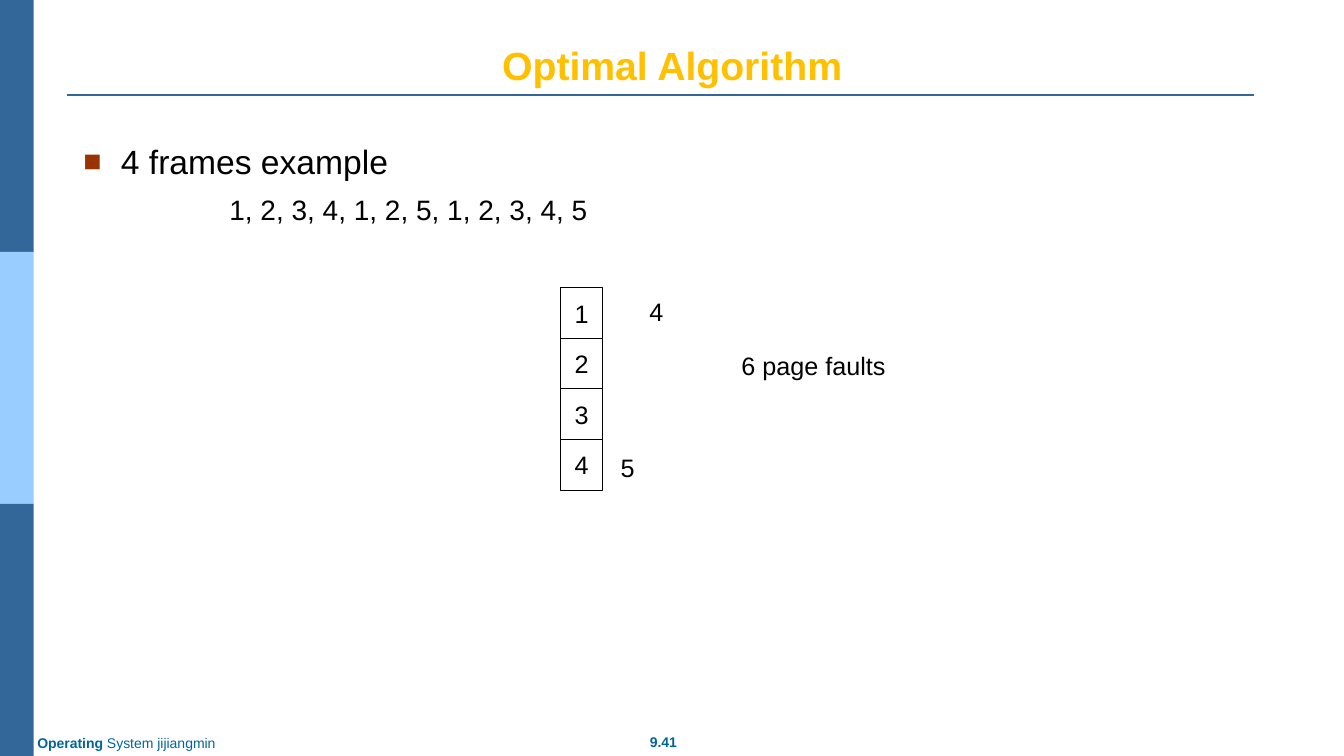
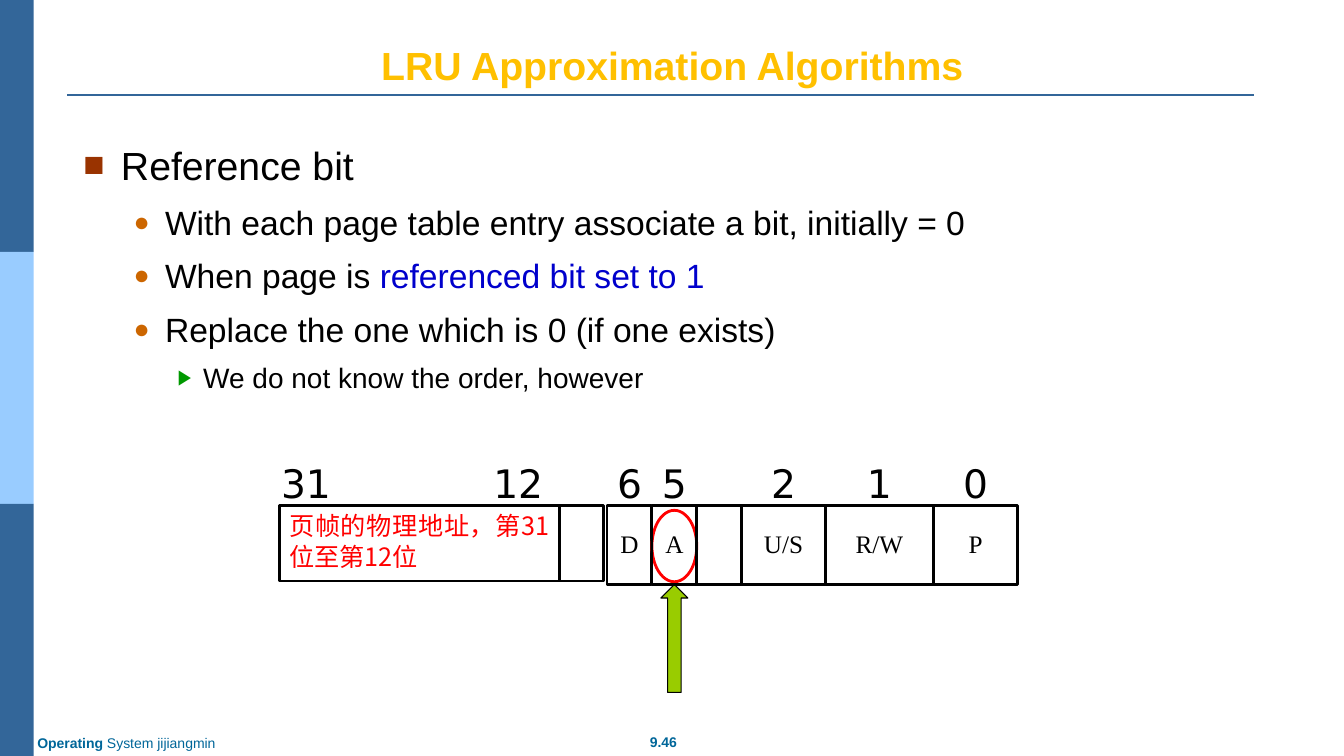
from dataclasses import dataclass

from lxml.etree import SubElement
from pptx import Presentation
from pptx.dml.color import RGBColor
from pptx.enum.shapes import MSO_CONNECTOR as Connector, MSO_SHAPE as Preset
from pptx.enum.text import MSO_ANCHOR as Anchor, MSO_AUTO_SIZE as AutoSize, PP_ALIGN as Align
from pptx.oxml.ns import qn
from pptx.util import Cm, Pt


@dataclass(frozen=True)
class Theme:
    band: str = "336699"
    band_light: str = "99CCFF"
    footer: str = "006699"
    title: str = "FFC000"
    text: str = "000000"
    paper: str = "FFFFFF"
    emphasis: str = "0000CC"
    alert: str = "FF0000"
    arrow: str = "99CC00"
    sans: str = "Arial"
    serif: str = "Times New Roman"
    digits: str = "DejaVu Sans"
    chinese: str = "Noto Sans CJK SC"
    title_size: int = 28
    head_size: int = 28
    body_size: int = 24
    small_size: int = 20
    label_size: int = 18
    footer_size: int = 10


@dataclass(frozen=True)
class Span:
    text: str
    color: str = Theme.text
    bold: bool = False


@dataclass(frozen=True)
class Level:
    margin: float
    hanging: float = 0
    bullet: str = ""
    color: str = ""
    percent: int = 100


@dataclass(frozen=True)
class Box:
    left: float
    top: float
    width: float
    height: float

    @property
    def center(self):
        return self.left + self.width / 2

    @property
    def bottom(self):
        return self.top + self.height

    def lengths(self):
        return [Cm(value) for value in (self.left, self.top, self.width, self.height)]


THEME = Theme()
HEAD = Level(0.95, 0.95, "■", "993300", 90)
POINT = Level(2.06, 0.79, "●", "CC6600", 80)
DETAIL = Level(3.02, 0.64, "▶", "009900", 75)
SEQUENCE = Level(3.68)
BODY_BOX = Box(1.85, 3.43, 30.48, 12.57)


def add_spans(para, spans, size, font):
    for span in spans:
        run = para.add_run()
        run.text = span.text
        run.font.name = font
        run.font.size = Pt(size)
        run.font.bold = span.bold
        run.font.color.rgb = RGBColor.from_string(span.color)


def fill_frame(frame, spans, size, font=THEME.sans, align=Align.CENTER, anchor=Anchor.MIDDLE):
    frame.word_wrap = True
    frame.auto_size = AutoSize.NONE
    frame.vertical_anchor = anchor
    para = frame.paragraphs[0]
    para.alignment = align
    add_spans(para, spans, size, font)
    return para


def add_label(page, box, spans, size, **style):
    label = page.shapes.add_textbox(*box.lengths())
    fill_frame(label.text_frame, spans, size, **style)
    return label


def add_figure(page, preset, box, fill=None, line=None, weight=0.75):
    figure = page.shapes.add_shape(preset, *box.lengths())
    figure.shadow.inherit = False
    if fill:
        figure.fill.solid()
        figure.fill.fore_color.rgb = RGBColor.from_string(fill)
    else:
        figure.fill.background()
    if line:
        figure.line.color.rgb = RGBColor.from_string(line)
        figure.line.width = Pt(weight)
    else:
        figure.line.fill.background()
    return figure


def add_rule(page, left, right, top):
    rule = page.shapes.add_connector(Connector.STRAIGHT, Cm(left), Cm(top), Cm(right), Cm(top))
    rule.line.color.rgb = RGBColor.from_string(THEME.band)
    rule.line.width = Pt(1.5)
    SubElement(rule.element.spPr, qn("a:effectLst"))
    return rule


def decorate_layout(layout, page, height):
    for holder in list(layout.placeholders)[1:]:
        layout.shapes.element.remove(holder.element)
    step = height / 3
    colors = (THEME.band, THEME.band_light, THEME.band)
    parts = [add_figure(page, Preset.RECTANGLE, Box(0, row * step, 0.85, step), color)
             for row, color in enumerate(colors)]
    parts.append(add_rule(page, 1.7, 31.6, 2.39))
    credit = [Span("Operating ", THEME.footer, True), Span("System jijiangmin", THEME.footer)]
    parts.append(add_label(page, Box(0.69, 18.39, 6, 0.69), credit, THEME.footer_size,
                           align=Align.LEFT, anchor=Anchor.TOP))
    for part in parts:
        layout.shapes.element.append(part.element)


def add_heading(page, title, number):
    holder = page.shapes.title
    holder.left, holder.top, holder.width, holder.height = Box(1.7, 0.76, 30.48, 1.6).lengths()
    fill_frame(holder.text_frame, [Span(title, THEME.title, True)], THEME.title_size,
               anchor=Anchor.BOTTOM)
    add_label(page, Box(15.72, 18.36, 2, 0.69), [Span(number, THEME.footer, True)],
              THEME.footer_size, anchor=Anchor.TOP)


def set_level(para, level):
    props = para._p.get_or_add_pPr()
    props.set("marL", str(Cm(level.margin)))
    props.set("indent", str(-Cm(level.hanging)))
    if level.bullet:
        SubElement(SubElement(props, qn("a:buClr")), qn("a:srgbClr"), val=level.color)
        SubElement(props, qn("a:buSzPct"), val=str(level.percent * 1000))
        SubElement(props, qn("a:buFont"), typeface=THEME.sans)
        SubElement(props, qn("a:buChar"), char=level.bullet)


def add_body(page, box, items):
    frame = page.shapes.add_textbox(*box.lengths()).text_frame
    frame.word_wrap = True
    for index, (level, size, spans) in enumerate(items):
        para = frame.add_paragraph() if index else frame.paragraphs[0]
        set_level(para, level)
        para.space_before = Pt(0.4 * size if index else 0)
        add_spans(para, spans, size, THEME.sans)


def add_frame_stack(page, box, labels):
    step = box.height / len(labels)
    for row, label in enumerate(labels):
        cell = add_figure(page, Preset.RECTANGLE,
                          Box(box.left, box.top + row * step, box.width, step),
                          THEME.paper, THEME.text)
        fill_frame(cell.text_frame, [Span(label)], THEME.label_size)
    notes = (
        ("4", Box(box.left + 1.92, box.top + 0.09, 1, 1.02)),
        ("5", Box(box.left + 1.2, box.top + 4.03, 1, 1.02)),
        ("6 page faults", Box(box.left + 4.13, box.top + 1.44, 4.5, 1.02)),
    )
    for note, place in notes:
        add_label(page, place, [Span(note)], THEME.label_size)


def add_bit_number(page, center, top, number):
    add_label(page, Box(center - 0.95, top - 1.28, 1.9, 1.55), [Span(number)],
              THEME.head_size, font=THEME.digits, anchor=Anchor.TOP)


def add_address_field(page, box):
    field = add_figure(page, Preset.RECTANGLE, box, line=THEME.text, weight=2)
    para = fill_frame(field.text_frame, [Span("页帧的物理地址，第31位至第12位", THEME.alert)],
                      THEME.label_size, font=THEME.chinese,
                      align=Align.JUSTIFY, anchor=Anchor.TOP)
    para.line_spacing = Pt(22)
    for run in para.runs:
        SubElement(run.font._element, qn("a:ea"), typeface=THEME.chinese)
    add_bit_number(page, box.left + 0.67, box.top, "31")
    add_bit_number(page, box.left + box.width - 1.04, box.top, "12")


def add_flag_cell(page, box, flag):
    cell = add_figure(page, Preset.RECTANGLE, box, line=THEME.text, weight=2)
    if flag:
        cell.text_frame.margin_top = Cm(0.58)
        fill_frame(cell.text_frame, [Span(flag)], THEME.label_size,
                   font=THEME.serif, anchor=Anchor.TOP)


def add_reference_mark(page, box):
    add_figure(page, Preset.OVAL, Box(box.left, box.top + 0.13, box.width, 1.8),
               THEME.paper, THEME.alert, 2)
    add_figure(page, Preset.UP_ARROW, Box(box.center - 0.34, box.bottom, 0.68, 2.72),
               THEME.arrow, THEME.text)


def add_page_entry(page, box):
    add_address_field(page, Box(box.left, box.top, 7.06, 1.91))
    add_flag_cell(page, Box(box.left + 7.06, box.top, 1.12, 1.91), "")
    left = box.left + 8.26
    flags = (("D", "6", 1.13), ("A", "5", 1.13), ("", "", 1.13),
             ("U/S", "2", 2.11), ("R/W", "1", 2.72), ("P", "0", 2.13))
    for flag, bit, width in flags:
        cell = Box(left, box.top, width, box.height)
        if flag == "A":
            add_reference_mark(page, cell)
        add_flag_cell(page, cell, flag)
        if bit:
            add_bit_number(page, cell.center, box.top, bit)
        left += width


def build_optimal(page):
    add_heading(page, "Optimal Algorithm", "9.41")
    add_body(page, BODY_BOX, (
        (HEAD, THEME.body_size, [Span("4 frames example")]),
        (SEQUENCE, THEME.small_size, [Span("1, 2, 3, 4, 1, 2, 5, 1, 2, 3, 4, 5")]),
    ))
    add_frame_stack(page, Box(14.12, 7.25, 1.07, 5.1), "1234")


def build_approximation(page):
    add_heading(page, "LRU Approximation Algorithms", "9.46")
    add_body(page, BODY_BOX, (
        (HEAD, THEME.head_size, [Span("Reference bit")]),
        (POINT, THEME.body_size,
         [Span("With each page table entry associate a bit, initially = 0")]),
        (POINT, THEME.body_size,
         [Span("When page is "), Span("referenced bit set to 1", THEME.emphasis)]),
        (POINT, THEME.body_size, [Span("Replace the one which is 0 (if one exists)")]),
        (DETAIL, THEME.small_size, [Span("We do not know the order, however")]),
    ))
    add_page_entry(page, Box(7.04, 12.73, 18.6, 2))


def main():
    deck = Presentation()
    deck.slide_width, deck.slide_height = Cm(33.87), Cm(19.05)
    layout = deck.slide_layouts[5]
    pages = [deck.slides.add_slide(layout) for _ in range(2)]
    decorate_layout(layout, pages[0], 19.05)
    for page, build in zip(pages, (build_optimal, build_approximation)):
        build(page)
    deck.save("out.pptx")


if __name__ == "__main__":
    main()
